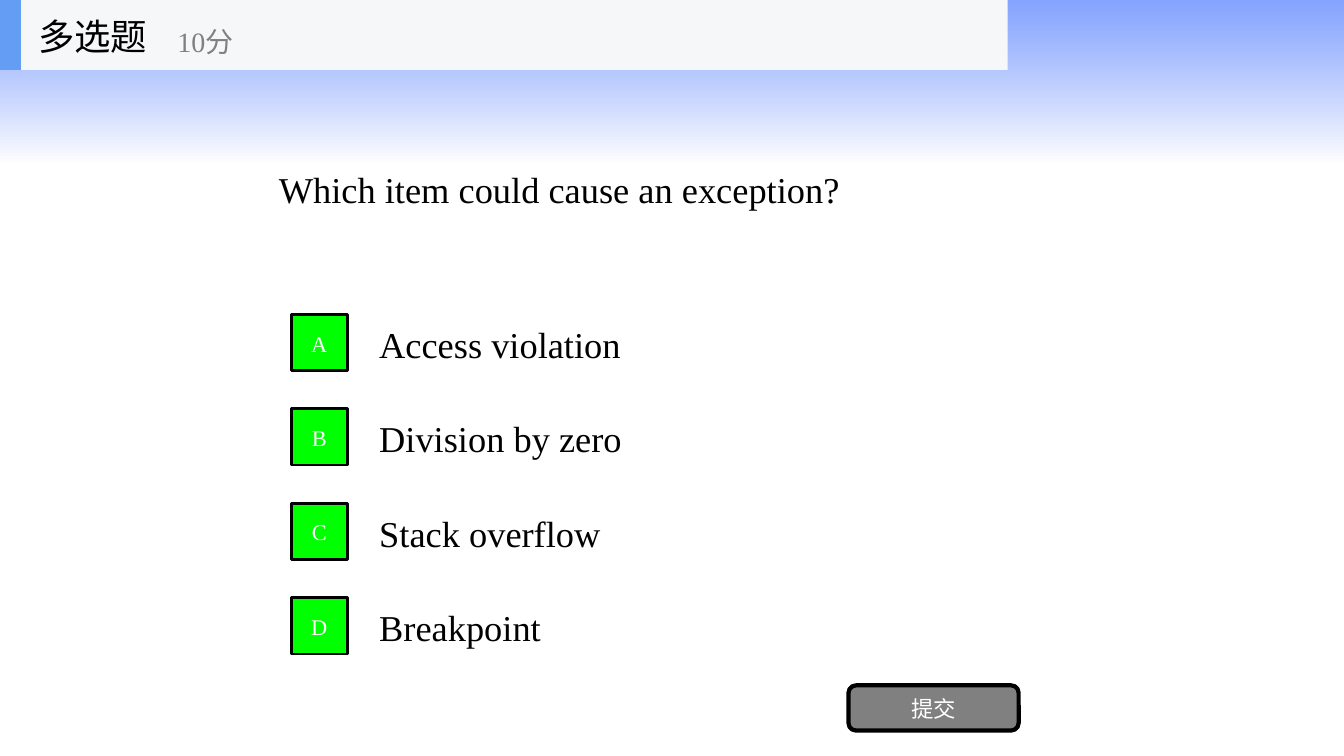
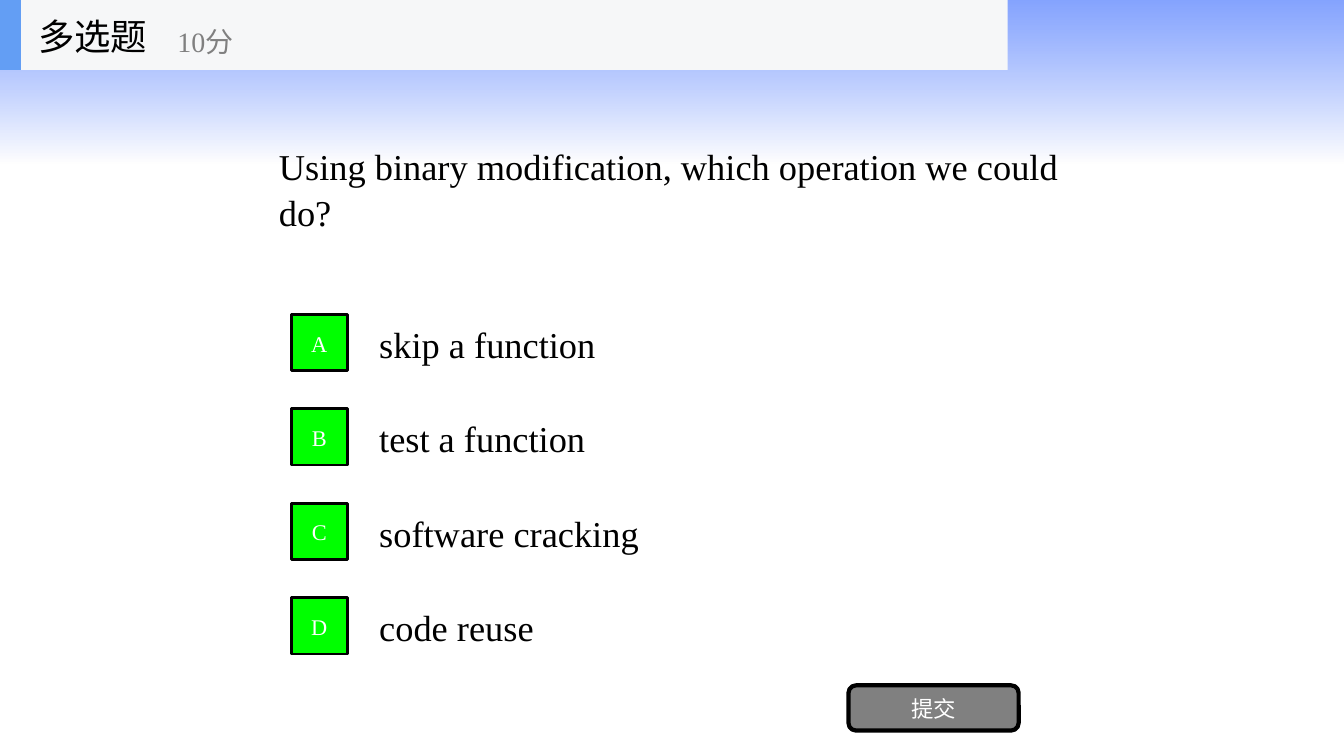
"""Builds two multiple-choice question slides with a shared header and gradient band."""
from lxml.etree import SubElement
from pptx import Presentation
from pptx.dml.color import RGBColor
from pptx.enum.shapes import MSO_SHAPE
from pptx.enum.text import MSO_ANCHOR, PP_ALIGN
from pptx.oxml.ns import qn
from pptx.util import Cm, Pt

FONT = "Times New Roman"
BLACK = RGBColor(0x00, 0x00, 0x00)
WHITE = RGBColor(0xFF, 0xFF, 0xFF)
GREY = RGBColor(0x80, 0x80, 0x80)
GREEN = RGBColor(0x00, 0xFF, 0x00)
BAND_BLUE = RGBColor(0x33, 0x66, 0xFF)
HEADER_GREY = RGBColor(0xF6, 0xF7, 0xF8)
ACCENT_BLUE = RGBColor(0x63, 0x9E, 0xF4)

SLIDE_WIDTH = 33.88
HEADER_HEIGHT = 1.76
FIRST_OPTION_TOP = 7.74
OPTION_PITCH = 2.38
OPTION_HEIGHT = 1.78
BADGE_SIZE = 1.42

QUESTIONS = [
    ("Which item could cause an exception?",
     ["Access violation", "Division by zero", "Stack overflow", "Breakpoint"]),
    ("Using binary modification, which operation we could do?",
     ["skip a function", "test a function", "software cracking", "code reuse"]),
]


def add_box(slide, left, top, width, height, color, border=0, outline=MSO_SHAPE.RECTANGLE):
    box = slide.shapes.add_shape(outline, Cm(left), Cm(top), Cm(width), Cm(height))
    box.shadow.inherit = False
    box.fill.solid()
    box.fill.fore_color.rgb = color
    if border:
        box.line.color.rgb = BLACK
        box.line.width = Pt(border)
    else:
        box.line.fill.background()
    return box


def write(shape, text, size, color, align=PP_ALIGN.LEFT):
    frame = shape.text_frame
    frame.word_wrap = True
    frame.vertical_anchor = MSO_ANCHOR.MIDDLE
    frame.text = text
    paragraph = frame.paragraphs[0]
    paragraph.alignment = align
    paragraph.line_spacing = 1.05
    font = paragraph.runs[0].font
    font.name = FONT
    font.size = Pt(size)
    font.color.rgb = color


prs = Presentation()
prs.slide_width, prs.slide_height = Cm(SLIDE_WIDTH), Cm(19.05)
layout = prs.slide_layouts[6]
slides = [prs.slides.add_slide(layout) for _ in QUESTIONS]

band = add_box(slides[0], 0, 0, SLIDE_WIDTH, 4.11, BAND_BLUE)
band.fill.gradient()
band.fill.gradient_angle = 270
for stop, color in zip(band.fill.gradient_stops, (BAND_BLUE, WHITE)):
    stop.color.rgb = color
for color_node, opacity in zip(band.element.spPr.iter(qn("a:srgbClr")), (60000, 70000)):
    SubElement(color_node, qn("a:alpha")).set("val", str(opacity))
layout.shapes.element.append(band.element)

for slide, (question, options) in zip(slides, QUESTIONS):
    prompt = slide.shapes.add_textbox(Cm(6.78), Cm(1.76), Cm(20.32), Cm(5.94))
    write(prompt, question, 26, BLACK)

    for row, (letter, option) in enumerate(zip("ABCD", options)):
        top = FIRST_OPTION_TOP + row * OPTION_PITCH
        answer = slide.shapes.add_textbox(Cm(9.31), Cm(top), Cm(17.78), Cm(OPTION_HEIGHT))
        write(answer, option, 26, BLACK)
        badge_top = top + (OPTION_HEIGHT - BADGE_SIZE) / 2
        badge = add_box(slide, 7.34, badge_top, BADGE_SIZE, BADGE_SIZE, GREEN, 2)
        write(badge, letter, 16, WHITE, PP_ALIGN.CENTER)

    submit = add_box(slide, 21.39, 17.27, 4.29, 1.14, GREY, 3, MSO_SHAPE.ROUNDED_RECTANGLE)
    write(submit, "提交", 16, WHITE, PP_ALIGN.CENTER)

    add_box(slide, 0, 0, 25.4, HEADER_HEIGHT, HEADER_GREY)
    add_box(slide, 0, 0, 0.53, HEADER_HEIGHT, ACCENT_BLUE)
    heading = slide.shapes.add_textbox(Cm(0.71), 0, Cm(5.28), Cm(HEADER_HEIGHT))
    write(heading, "多选题", 26, BLACK)
    points = slide.shapes.add_textbox(Cm(4.22), Cm(0.3), Cm(6.35), Cm(1.42))
    write(points, "10分", 20, GREY)

prs.save("out.pptx")
